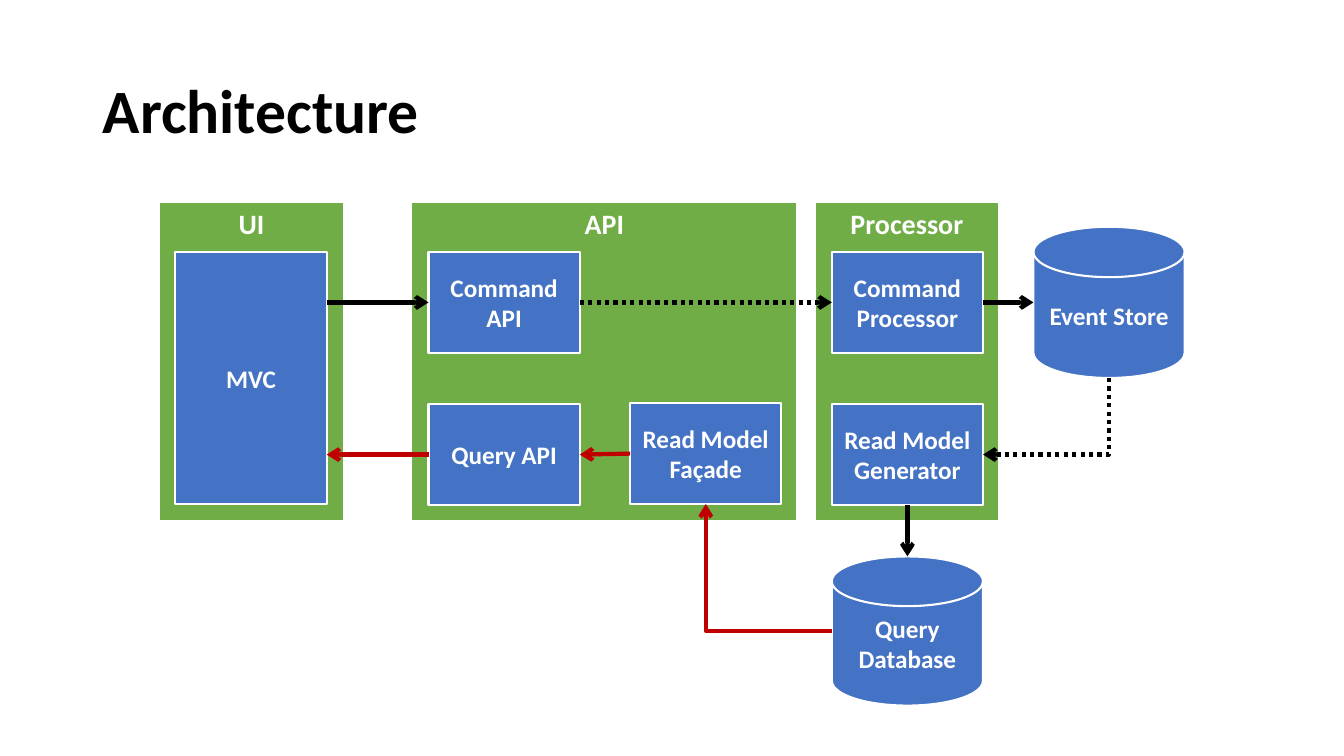
"""Build the Architecture slide: three tiers, two stores and the flows between them."""
from dataclasses import dataclass

from lxml import etree
from pptx import Presentation
from pptx.dml.color import RGBColor
from pptx.enum.dml import MSO_LINE
from pptx.enum.shapes import MSO_CONNECTOR, MSO_SHAPE
from pptx.enum.text import MSO_ANCHOR, MSO_AUTO_SIZE, PP_ALIGN
from pptx.oxml.ns import qn
from pptx.slide import Slide
from pptx.text.text import TextFrame
from pptx.util import Inches, Pt

BOX, DISK = MSO_SHAPE.RECTANGLE, MSO_SHAPE.FLOWCHART_MAGNETIC_DISK
STRAIGHT, ELBOW = MSO_CONNECTOR.STRAIGHT, MSO_CONNECTOR.ELBOW
TOP, MIDDLE = MSO_ANCHOR.TOP, MSO_ANCHOR.MIDDLE
LEFT, CENTER = PP_ALIGN.LEFT, PP_ALIGN.CENTER
DOTTED = MSO_LINE.ROUND_DOT
NO_AUTOFIT = MSO_AUTO_SIZE.NONE

BLACK = RGBColor(0x00, 0x00, 0x00)
WHITE = RGBColor(0xFF, 0xFF, 0xFF)
GREEN = RGBColor(0x70, 0xAD, 0x47)
BLUE = RGBColor(0x44, 0x72, 0xC4)
RED = RGBColor(0xC0, 0x00, 0x00)
FONT = "Calibri"

TIER_TOP, TIER_HEIGHT = 2, 3.17
PART_WIDTH, PART_HEIGHT = 1.5, 1
MVC_X, API_X, FACADE_X, PROCESSOR_X, STORE_X = 1.74, 4.25, 6.25, 8.25, 10.25
COMMAND_Y, QUERY_Y, DATABASE_Y = 2.5, 4.01, 5.52
COMMAND_MID = COMMAND_Y + PART_HEIGHT / 2
QUERY_MID = QUERY_Y + PART_HEIGHT / 2
PROCESSOR_MID = PROCESSOR_X + PART_WIDTH / 2
Point = tuple[float, float]


@dataclass(frozen=True)
class Tier:
    """A green container with its heading at the top."""
    label: str
    left: float
    width: float


@dataclass(frozen=True)
class Part:
    """A blue component or data store."""
    label: str
    left: float
    top: float
    height: float = PART_HEIGHT
    preset: MSO_SHAPE = BOX


@dataclass(frozen=True)
class Flow:
    """An arrow; an elbow names the clockwise turn of its first leg."""
    start: Point
    end: Point
    color: RGBColor = BLACK
    dotted: bool = False
    turn: int | None = None


TIERS = [Tier("UI", 1.58, 1.83), Tier("API", 4.08, 3.83), Tier("Processor", 8.08, 1.83)]
PARTS = [
    Part("MVC", MVC_X, COMMAND_Y, 2.5),
    Part("Command API", API_X, COMMAND_Y),
    Part("Query API", API_X, QUERY_Y),
    Part("Read Model Façade", FACADE_X, 4),
    Part("Command Processor", PROCESSOR_X, COMMAND_Y),
    Part("Read Model Generator", PROCESSOR_X, QUERY_Y),
    Part("Event Store", STORE_X, 2.25, 1.5, DISK),
    Part("Query Database", PROCESSOR_X, DATABASE_Y, 1.48, DISK),
]
FLOWS = [
    Flow((MVC_X + PART_WIDTH, COMMAND_MID), (API_X, COMMAND_MID)),
    Flow((API_X + PART_WIDTH, COMMAND_MID), (PROCESSOR_X, COMMAND_MID), dotted=True),
    Flow((PROCESSOR_X + PART_WIDTH, COMMAND_MID), (STORE_X, COMMAND_MID)),
    Flow((STORE_X + PART_WIDTH / 2, 3.75), (PROCESSOR_X + PART_WIDTH, QUERY_MID),
         dotted=True, turn=90),
    Flow((PROCESSOR_MID, QUERY_Y + PART_HEIGHT), (PROCESSOR_MID, DATABASE_Y)),
    Flow((PROCESSOR_X, DATABASE_Y + 0.74), (FACADE_X + PART_WIDTH / 2, 5), RED, turn=180),
    Flow((FACADE_X, 4.5), (API_X + PART_WIDTH, QUERY_MID), RED),
    Flow((API_X, QUERY_MID), (MVC_X + PART_WIDTH, QUERY_MID), RED),
]


def write_text(frame: TextFrame, text: str, *, size: float, color: RGBColor = WHITE,
               align: PP_ALIGN = CENTER, anchor: MSO_ANCHOR = MIDDLE,
               spacing: float = 1.0) -> None:
    """Fill a text frame with one bold paragraph."""
    frame.word_wrap = True
    frame.auto_size = NO_AUTOFIT
    frame.vertical_anchor = anchor
    paragraph = frame.paragraphs[0]
    paragraph.alignment = align
    paragraph.line_spacing = spacing
    run = paragraph.add_run()
    run.text = text
    run.font.name = FONT
    run.font.size = Pt(size)
    run.font.bold = True
    run.font.color.rgb = color


def draw_block(slide: Slide, preset: MSO_SHAPE, left: float, top: float, width: float,
               height: float, fill: RGBColor) -> TextFrame:
    """Draw a white-edged shape and return its text frame."""
    block = slide.shapes.add_shape(preset, Inches(left), Inches(top),
                                   Inches(width), Inches(height))
    block.shadow.inherit = False
    block.fill.solid()
    block.fill.fore_color.rgb = fill
    block.line.color.rgb = WHITE
    block.line.width = Pt(1.5)
    return block.text_frame


def draw_flow(slide: Slide, flow: Flow) -> None:
    """Draw a straight or single-bend arrow."""
    (x1, y1), (x2, y2) = flow.start, flow.end
    if flow.turn is not None:
        mid_x, mid_y = (x1 + x2) / 2, (y1 + y2) / 2
        half_w, half_h = abs(x2 - x1) / 2, abs(y2 - y1) / 2
        if flow.turn % 180:
            half_w, half_h = half_h, half_w
        x1, y1, x2, y2 = mid_x - half_w, mid_y - half_h, mid_x + half_w, mid_y + half_h
    arrow = slide.shapes.add_connector(STRAIGHT if flow.turn is None else ELBOW,
                                       Inches(x1), Inches(y1), Inches(x2), Inches(y2))
    arrow.line.color.rgb = flow.color
    arrow.line.width = Pt(3)
    if flow.dotted:
        arrow.line.dash_style = DOTTED
    properties = arrow._element.spPr
    if flow.turn is not None:
        properties.find(qn("a:xfrm")).set("rot", str(flow.turn * 60000))
        properties.find(qn("a:prstGeom")).set("prst", "bentConnector2")
    etree.SubElement(properties.find(qn("a:ln")), qn("a:tailEnd"), type="arrow")
    etree.SubElement(properties, qn("a:effectLst"))


def main() -> None:
    """Build and save the slide."""
    deck = Presentation()
    deck.slide_width, deck.slide_height = Inches(13.33), Inches(7.5)
    slide = deck.slides.add_slide(deck.slide_layouts[5])
    title = slide.shapes.title
    title.left, title.top = Inches(0.92), Inches(0.4)
    title.width, title.height = Inches(11.5), Inches(1.45)
    write_text(title.text_frame, "Architecture", size=44, color=BLACK, align=LEFT, spacing=0.9)
    for tier in TIERS:
        frame = draw_block(slide, BOX, tier.left, TIER_TOP, tier.width, TIER_HEIGHT, GREEN)
        write_text(frame, tier.label, size=20, anchor=TOP)
    for part in PARTS:
        frame = draw_block(slide, part.preset, part.left, part.top, PART_WIDTH,
                           part.height, BLUE)
        write_text(frame, part.label, size=18)
    for flow in FLOWS:
        draw_flow(slide, flow)
    deck.save("out.pptx")


main()
